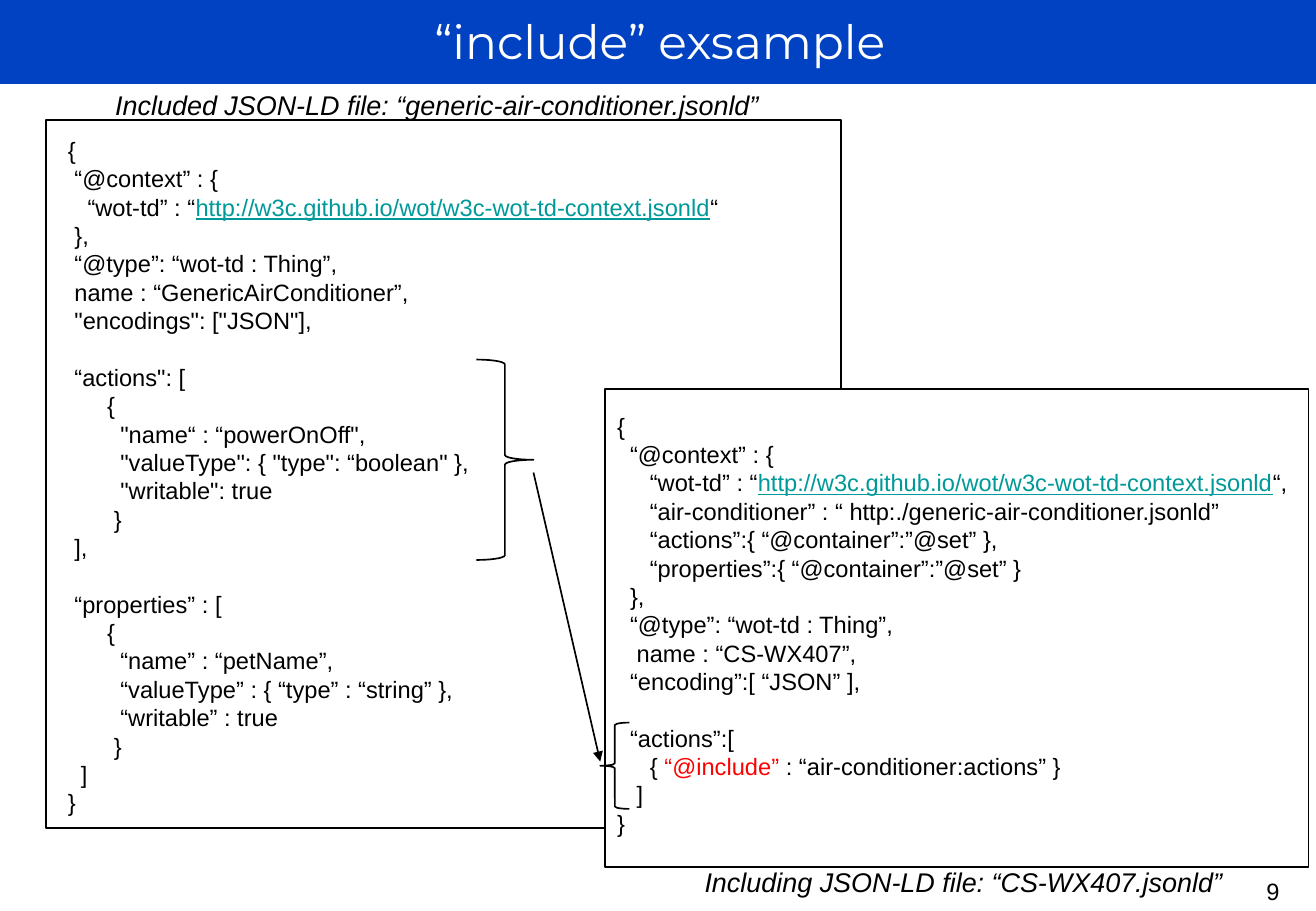
from lxml.etree import SubElement
from pptx import Presentation
from pptx.dml.color import RGBColor
from pptx.enum.shapes import MSO_CONNECTOR, MSO_SHAPE
from pptx.enum.text import PP_ALIGN
from pptx.oxml.ns import qn
from pptx.util import Inches, Pt

COLORS = {"banner": "0142C2", "paper": "FFFFFF", "ink": "000000", "link": "009999", "include": "FF0000"}
CONTEXT_URL = "http://w3c.github.io/wot/w3c-wot-td-context.jsonld"
INCLUDE_KEY = "“@include”"
LINE_PITCH = Pt(16.8)

TITLE = {"name": "Montserrat", "size": Pt(28), "color": "paper"}
CODE = {"name": "Arial", "size": Pt(14), "color": "ink"}
CAPTION = {"name": "Arial", "size": Pt(16), "color": "ink", "italic": True}
MARKED = {
    CONTEXT_URL: CODE | {"color": "link", "underline": True},
    INCLUDE_KEY: CODE | {"color": "include"},
}

INCLUDED_CODE = """{
 “@context” : {
   “wot-td” : “http://w3c.github.io/wot/w3c-wot-td-context.jsonld“
 },
 “@type”: “wot-td : Thing”,
 name : “GenericAirConditioner”,
 "encodings": ["JSON"],

 “actions": [
      {
        "name“ : “powerOnOff",
        "valueType": { "type": “boolean" },
        "writable": true
       }
 ],

 “properties” : [
      {
        “name” : “petName”,
        “valueType” : { “type” : “string” },
        “writable” : true
       }
  ]
}"""

INCLUDING_CODE = """{
  “@context” : {
     “wot-td” : “http://w3c.github.io/wot/w3c-wot-td-context.jsonld“,
     “air-conditioner” : “ http:./generic-air-conditioner.jsonld”
     “actions”:{ “@container”:”@set” },
     “properties”:{ “@container”:”@set” }
  },
  “@type”: “wot-td : Thing”,
   name : “CS-WX407”,
  “encoding”:[ “JSON” ],

  “actions”:[
     { “@include” : “air-conditioner:actions” }
   ]
}"""

presentation = Presentation()
presentation.slide_width = Inches(10.83)
presentation.slide_height = Inches(7.5)
slide = presentation.slides.add_slide(presentation.slide_layouts[6])
column = presentation.slide_width / 100
row = presentation.slide_height / 100


def place(left, top, width, height):
    return round(left * column), round(top * row), round(width * column), round(height * row)


def add_run(paragraph, text, style):
    run = paragraph.add_run()
    run.text = text
    for attribute, value in style.items():
        if attribute == "color":
            run.font.color.rgb = RGBColor.from_string(COLORS[value])
        else:
            setattr(run.font, attribute, value)


for preset, area, fill, line in [
    (MSO_SHAPE.RECTANGLE, (0, -0.4, 100, 9.6), "banner", None),
    (MSO_SHAPE.RECTANGLE, (3.51, 13.2, 60.39, 77.73), "paper", "ink"),
    (MSO_SHAPE.RECTANGLE, (45.98, 42.67, 53.46, 52.53), "paper", "ink"),
    (MSO_SHAPE.RIGHT_BRACE, (36.2, 39.47, 4.34, 22), None, "ink"),
    (MSO_SHAPE.LEFT_BRACE, (45.61, 79.33, 2.22, 9.47), None, "ink"),
]:
    shape = slide.shapes.add_shape(preset, *place(*area))
    shape.shadow.inherit = False
    if fill:
        shape.fill.solid()
        shape.fill.fore_color.rgb = RGBColor.from_string(COLORS[fill])
    else:
        shape.fill.background()
    if line:
        shape.line.color.rgb = RGBColor.from_string(COLORS[line])
        shape.line.width = Pt(1)
    else:
        shape.line.fill.background()

for text, area, style, alignment, wrap in [
    ("“include” exsample", (0.18, 0.67, 99.91, 7.6), TITLE, PP_ALIGN.CENTER, True),
    ("9", (92.52, 95.6, 8.4, 6.93), CODE, PP_ALIGN.CENTER, True),
    ("Included JSON-LD file: “generic-air-conditioner.jsonld”", (7.85, 9.07, 51.34, 4.93), CAPTION, PP_ALIGN.LEFT, False),
    ("Including JSON-LD file: “CS-WX407.jsonld”", (52.63, 94.4, 41.74, 4.93), CAPTION, PP_ALIGN.LEFT, False),
]:
    frame = slide.shapes.add_textbox(*place(*area)).text_frame
    frame.word_wrap = wrap
    frame.paragraphs[0].alignment = alignment
    add_run(frame.paragraphs[0], text, style)

for code, area in [
    (INCLUDED_CODE, (4.25, 14.27, 51.62, 76.8)),
    (INCLUDING_CODE, (45.98, 44.53, 53.46, 48.53)),
]:
    frame = slide.shapes.add_textbox(*place(*area)).text_frame
    frame.word_wrap = True
    for block_number, block in enumerate(code.split("\n\n")):
        for line_number, line in enumerate(block.splitlines()):
            first = block_number == line_number == 0
            paragraph = frame.paragraphs[0] if first else frame.add_paragraph()
            paragraph.line_spacing = LINE_PITCH
            if block_number and line_number == 0:
                paragraph.space_before = LINE_PITCH
            mark = next((key for key in MARKED if key in line), None)
            before, marked, after = line.partition(mark) if mark else (line, "", "")
            for text, style in [(before, CODE), (marked, MARKED.get(mark)), (after, CODE)]:
                if text:
                    add_run(paragraph, text, style)

arrow_ends = place(40.54, 51.87, 45.61, 83.6)
arrow = slide.shapes.add_connector(MSO_CONNECTOR.STRAIGHT, *arrow_ends)
arrow.line.color.rgb = RGBColor.from_string(COLORS["ink"])
arrow.line.width = Pt(1)
SubElement(arrow.line._get_or_add_ln(), qn("a:tailEnd"), type="triangle")
SubElement(arrow._element.spPr, qn("a:effectLst"))

presentation.save("out.pptx")
